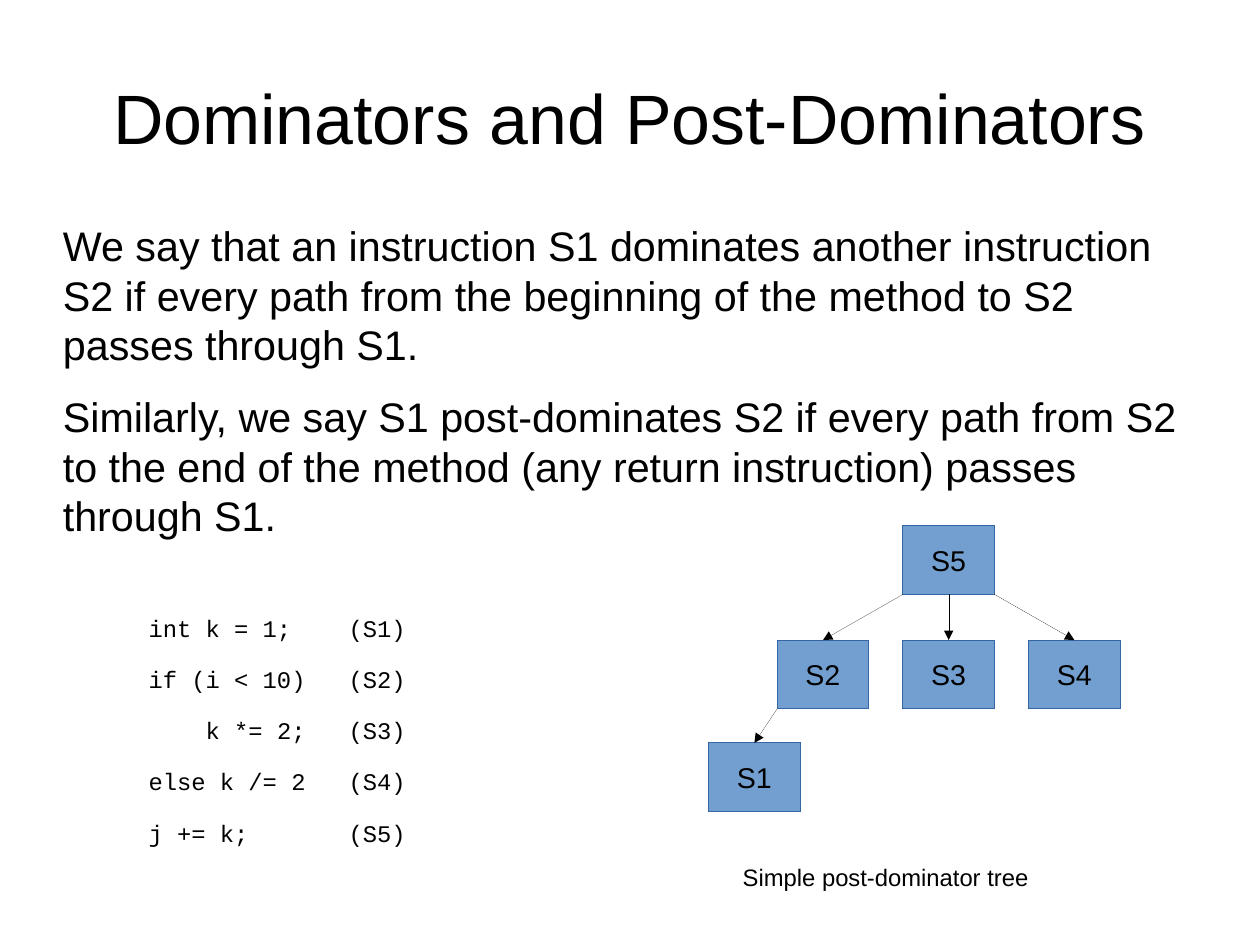
from dataclasses import dataclass

import pptx
import pptx.dml.color
import pptx.enum.shapes
import pptx.enum.text
import pptx.oxml
import pptx.oxml.ns
import pptx.util
from pptx.util import Inches, Pt

ALIGN = pptx.enum.text.PP_ALIGN
ANCHOR = pptx.enum.text.MSO_ANCHOR
WIDTH, HEIGHT = 28 / 2.54, 21 / 2.54
BOX_W, BOX_H = 0.8, 0.6
HAIR = 0.01
BLACK = "000000"


@dataclass
class Node:
    name: str
    left: float
    top: float


@dataclass
class Edge:
    x1: float
    y1: float
    x2: float
    y2: float


NODES = [
    Node("S5", 7.9, 4.6),
    Node("S2", 6.8, 5.6),
    Node("S3", 7.9, 5.6),
    Node("S4", 9, 5.6),
    Node("S1", 6.2, 6.5),
]
EDGES = [
    Edge(7.9, 5.2, 7.2, 5.6),
    Edge(8.3, 5.2, 8.3, 5.6),
    Edge(8.7, 5.2, 9.4, 5.6),
    Edge(6.8, 6.2, 6.6, 6.5),
]
PROSE = [
    "We say that an instruction S1 dominates another instruction S2 if every path "
    "from the beginning of the method to S2 passes through S1.",
    "Similarly, we say S1 post-dominates S2 if every path from S2 to the end of the "
    "method (any return instruction) passes through S1.",
]
CODE = [
    "int k = 1;\t(S1)",
    "if (i < 10)\t(S2)",
    "\tk *= 2;\t(S3)",
    "else k /= 2\t(S4)",
    "j += k;\t(S5)",
]
STOPS = [0.5, 1.75]


def color(code: str) -> pptx.dml.color.RGBColor:
    return pptx.dml.color.RGBColor.from_string(code)


def write(par, text: str, size: float, font: str = "Arial") -> None:
    run = par.add_run()
    run.text = text
    run.font.size = Pt(size)
    run.font.name = font
    run.font.color.rgb = color(BLACK)


def add_text(slide, left: float, top: float, width: float, height: float,
             inset: float = 0):
    """Add a wrapping text box and return its frame."""
    frame = slide.shapes.add_textbox(
        Inches(left), Inches(top), Inches(width), Inches(height)).text_frame
    frame.word_wrap = True
    frame.margin_left = frame.margin_right = Inches(inset)
    frame.margin_top = frame.margin_bottom = Inches(inset / 2)
    return frame


def add_pars(frame, lines: list[str], size: float, font: str = "Arial") -> None:
    """Write one spaced paragraph for each line."""
    for i, line in enumerate(lines):
        par = frame.add_paragraph() if i else frame.paragraphs[0]
        par.space_after = Pt(14.2)
        write(par, line, size, font)


def set_tabs(frame, stops: list[float]) -> None:
    for par in frame.paragraphs:
        tabs = pptx.oxml.parse_xml(
            f'<a:tabLst {pptx.oxml.ns.nsdecls("a")}>'
            + "".join(f'<a:tab pos="{Inches(x)}" algn="l"/>' for x in stops)
            + "</a:tabLst>")
        par._p.get_or_add_pPr().append(tabs)


def add_node(slide, node: Node) -> None:
    box = slide.shapes.add_shape(
        pptx.enum.shapes.MSO_SHAPE.RECTANGLE, Inches(node.left),
        Inches(node.top), Inches(BOX_W), Inches(BOX_H))
    box.shadow.inherit = False
    box.fill.solid()
    box.fill.fore_color.rgb = color("729FCF")
    box.line.color.rgb = color("3465A4")
    box.line.width = Pt(HAIR)
    frame = box.text_frame
    frame.word_wrap = False
    frame.vertical_anchor = ANCHOR.MIDDLE
    par = frame.paragraphs[0]
    par.alignment = ALIGN.CENTER
    write(par, node.name, 18)


def add_edge(slide, edge: Edge) -> None:
    line = slide.shapes.add_connector(
        pptx.enum.shapes.MSO_CONNECTOR.STRAIGHT, Inches(edge.x1),
        Inches(edge.y1), Inches(edge.x2), Inches(edge.y2))
    line.line.color.rgb = color(BLACK)
    line.line.width = Pt(HAIR)
    space = pptx.oxml.ns.nsdecls("a")
    line.line._get_or_add_ln().append(
        pptx.oxml.parse_xml(f'<a:tailEnd {space} type="triangle"/>'))
    line._element.spPr.append(pptx.oxml.parse_xml(f"<a:effectLst {space}/>"))


def main() -> None:
    deck = pptx.Presentation()
    deck.slide_width = Inches(WIDTH)
    deck.slide_height = Inches(HEIGHT)
    slide = deck.slides.add_slide(deck.slide_layouts[6])

    title = add_text(slide, 0.55, 0.33, 9.92, 1.38)
    title.vertical_anchor = ANCHOR.MIDDLE
    title.paragraphs[0].alignment = ALIGN.CENTER
    write(title.paragraphs[0], "Dominators and Post-Dominators", 44)

    add_pars(add_text(slide, 0.55, 1.93, 9.95, 3), PROSE, 26)
    code = add_text(slide, 1.3, 5.37, 3, 2.3)
    add_pars(code, CODE, 15, "Courier New")
    set_tabs(code, STOPS)

    for node in NODES:
        add_node(slide, node)
    for edge in EDGES:
        add_edge(slide, edge)

    note = add_text(slide, 6.4, 7.5, 3.5, 0.34, 0.1)
    write(note.paragraphs[0], "Simple post-dominator tree", 15)
    deck.save("out.pptx")


if __name__ == "__main__":
    main()
